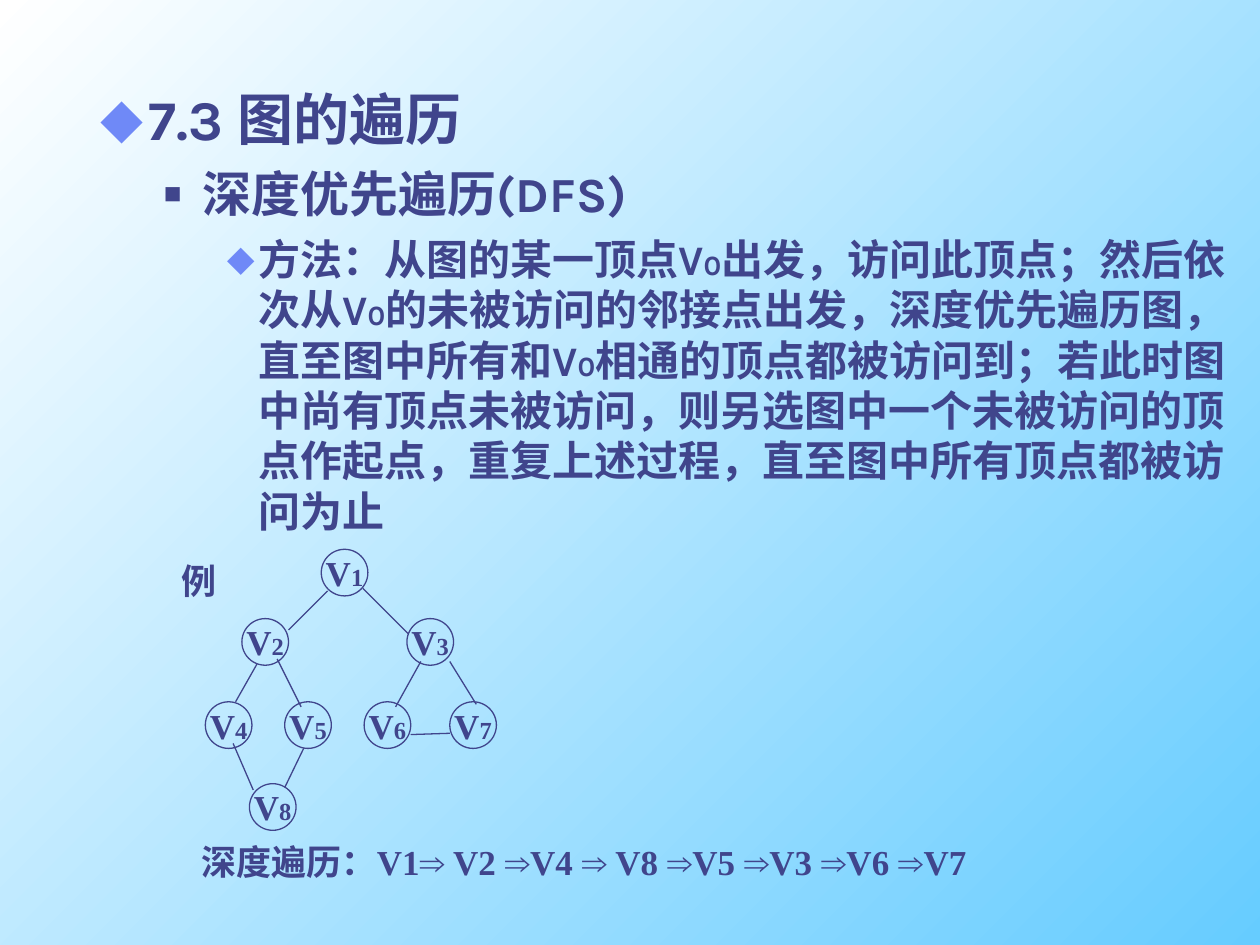
from dataclasses import dataclass

from lxml import etree
from pptx import Presentation
from pptx.dml.color import RGBColor
from pptx.enum.shapes import MSO_CONNECTOR, MSO_SHAPE
from pptx.enum.text import MSO_ANCHOR, MSO_AUTO_SIZE, PP_ALIGN
from pptx.oxml.ns import qn
from pptx.util import Inches, Pt

ELLIPSE = MSO_SHAPE.OVAL
STRAIGHT = MSO_CONNECTOR.STRAIGHT
CENTER, LEFT = PP_ALIGN.CENTER, PP_ALIGN.LEFT
TOP, MIDDLE = MSO_ANCHOR.TOP, MSO_ANCHOR.MIDDLE
TITLE_AND_CONTENT = 1


@dataclass(frozen=True)
class Theme:
    ink: str = "40458C"
    accent: str = "6F89F7"
    sky: str = "66CCFF"
    white: str = "FFFFFF"
    body_font: str = "Karla"
    graph_font: str = "Times New Roman"
    arrow_font: str = "Arial"
    heading: int = 32
    subheading: int = 28
    method: int = 24
    method_index: int = 16
    graph: int = 20
    graph_index: int = 14
    line: float = 0.75


@dataclass(frozen=True)
class OutlineLevel:
    size: int
    bullet: str
    bullet_color: str
    bullet_percent: int
    indent: float
    hanging: float
    space_before: int


THEME = Theme()
LEVELS = [
    OutlineLevel(THEME.heading, "⬥", THEME.accent, 110, 0.38, 0.38, 0),
    OutlineLevel(THEME.subheading, "■", THEME.ink, 60, 0.81, 0.31, 7),
    OutlineLevel(THEME.method, "⬥", THEME.accent, 95, 1.25, 0.25, 6),
]
# Each entry: a level and its text parts; a vertex index stands between parts.
OUTLINE = [
    (0, ["7.3 图的遍历"]),
    (1, ["深度优先遍历(DFS)"]),
    (2, ["方法：从图的某一顶点V",
         "出发，访问此顶点；然后依次从V",
         "的未被访问的邻接点出发，深度优先遍历图，直至图中所有和V",
         "相通的顶点都被访问到；若此时图中尚有顶点未被访问，则另选图中一个"
         "未被访问的顶点作起点，重复上述过程，直至图中所有顶点都被访问为止"]),
]
NODE_SIZE = 0.37
NODES = {
    "1": (2.55, 4.36),
    "2": (1.92, 4.91), "3": (3.23, 4.91),
    "4": (1.63, 5.57), "5": (2.26, 5.57), "6": (2.89, 5.57), "7": (3.57, 5.57),
    "8": (1.98, 6.22),
}
EDGES = [
    ((2.6, 4.69), (2.29, 5)), ((2.88, 4.67), (3.24, 5.03)),
    ((2.04, 5.27), (1.87, 5.57)), ((2.2, 5.23), (2.39, 5.61)),
    ((1.85, 5.9), (2.01, 6.27)), ((2.41, 5.94), (2.26, 6.25)),
    ((3.34, 5.25), (3.14, 5.61)), ((3.26, 5.83), (3.57, 5.82)),
    ((3.57, 5.25), (3.78, 5.59)),
]
TRAVERSAL = "深度遍历：V1⇒ V2 ⇒V4 ⇒ V8 ⇒V5 ⇒V3 ⇒V6 ⇒V7"


def rgb(color):
    return RGBColor.from_string(color)


def add_run(paragraph, text, *, size, font, color=THEME.ink, bold=True):
    run = paragraph.add_run()
    run.text = text
    run.font.size = Pt(size)
    run.font.name = font
    run.font.bold = bold
    run.font.color.rgb = rgb(color)


def set_bullet(paragraph, level):
    properties = paragraph._p.get_or_add_pPr()
    properties.set("marL", str(Inches(level.indent)))
    properties.set("indent", str(-Inches(level.hanging)))
    color = etree.SubElement(properties, qn("a:buClr"))
    etree.SubElement(color, qn("a:srgbClr"), val=level.bullet_color)
    etree.SubElement(properties, qn("a:buSzPct"), val=str(level.bullet_percent * 1000))
    etree.SubElement(properties, qn("a:buFont"), typeface=THEME.arrow_font)
    etree.SubElement(properties, qn("a:buChar"), char=level.bullet)


class SlideBuilder:
    def __init__(self, slide, theme):
        self.slide = slide
        self.theme = theme
        self.graph = slide.shapes.add_group_shape().shapes

    def background(self):
        fill = self.slide.background.fill
        fill.gradient()
        fill.gradient_angle = 135
        for stop, color in zip(fill.gradient_stops, (self.theme.sky, self.theme.white)):
            stop.color.rgb = rgb(color)

    def outline(self, entries, left, top, width, height):
        body = self.slide.placeholders[1]
        body.left, body.top = Inches(left), Inches(top)
        body.width, body.height = Inches(width), Inches(height)
        frame = body.text_frame
        frame.auto_size = MSO_AUTO_SIZE.NONE
        frame.vertical_anchor = TOP
        for position, (depth, parts) in enumerate(entries):
            level = LEVELS[depth]
            paragraph = frame.add_paragraph() if position else frame.paragraphs[0]
            paragraph.level = depth
            paragraph.space_before = Pt(level.space_before)
            set_bullet(paragraph, level)
            for number, part in enumerate(parts):
                if number:
                    add_run(paragraph, "0", size=self.theme.method_index,
                            font=self.theme.body_font)
                add_run(paragraph, part, size=level.size, font=self.theme.body_font)

    def node(self, index, left, top):
        circle = self.graph.add_shape(ELLIPSE, Inches(left), Inches(top),
                                      Inches(NODE_SIZE), Inches(NODE_SIZE))
        circle.shadow.inherit = False
        circle.fill.background()
        circle.line.color.rgb = rgb(self.theme.ink)
        circle.line.width = Pt(self.theme.line)
        frame = circle.text_frame
        frame.word_wrap = False
        frame.vertical_anchor = MIDDLE
        paragraph = frame.paragraphs[0]
        paragraph.alignment = CENTER
        add_run(paragraph, "V", size=self.theme.graph, font=self.theme.graph_font)
        add_run(paragraph, index, size=self.theme.graph_index, font=self.theme.graph_font)

    def edge(self, start, end):
        line = self.graph.add_connector(STRAIGHT, *map(Inches, start + end))
        line.line.color.rgb = rgb(self.theme.ink)
        line.line.width = Pt(self.theme.line)
        etree.SubElement(line._element.spPr, qn("a:effectLst"))

    def label(self, text, left, top, width, height, align=LEFT, anchor=TOP):
        """Add a one-line label whose arrows take the arrow font."""
        box = self.graph.add_textbox(*map(Inches, (left, top, width, height)))
        frame = box.text_frame
        frame.word_wrap = False
        frame.auto_size = MSO_AUTO_SIZE.SHAPE_TO_FIT_TEXT
        frame.vertical_anchor = anchor
        paragraph = frame.paragraphs[0]
        paragraph.alignment = align
        for number, part in enumerate(text.split("⇒")):
            if number:
                add_run(paragraph, "⇒", size=self.theme.graph, font=self.theme.arrow_font)
            add_run(paragraph, part, size=self.theme.graph, font=self.theme.graph_font)


def main():
    deck = Presentation()
    deck.slide_width, deck.slide_height = Inches(10), Inches(7.5)
    slide = deck.slides.add_slide(deck.slide_layouts[TITLE_AND_CONTENT])
    empty_title = slide.shapes.title._element
    empty_title.getparent().remove(empty_title)

    builder = SlideBuilder(slide, THEME)
    builder.background()
    builder.outline(OUTLINE, 0.7, 0.62, 9.3, 3.74)
    for index, corner in NODES.items():
        builder.node(index, *corner)
    for start, end in EDGES:
        builder.edge(start, end)
    builder.label("例", 1.34, 4.39, 0.48, 0.44, align=CENTER, anchor=MIDDLE)
    builder.label(TRAVERSAL, 1.5, 6.62, 6.49, 0.44)
    deck.save("out.pptx")


if __name__ == "__main__":
    main()
